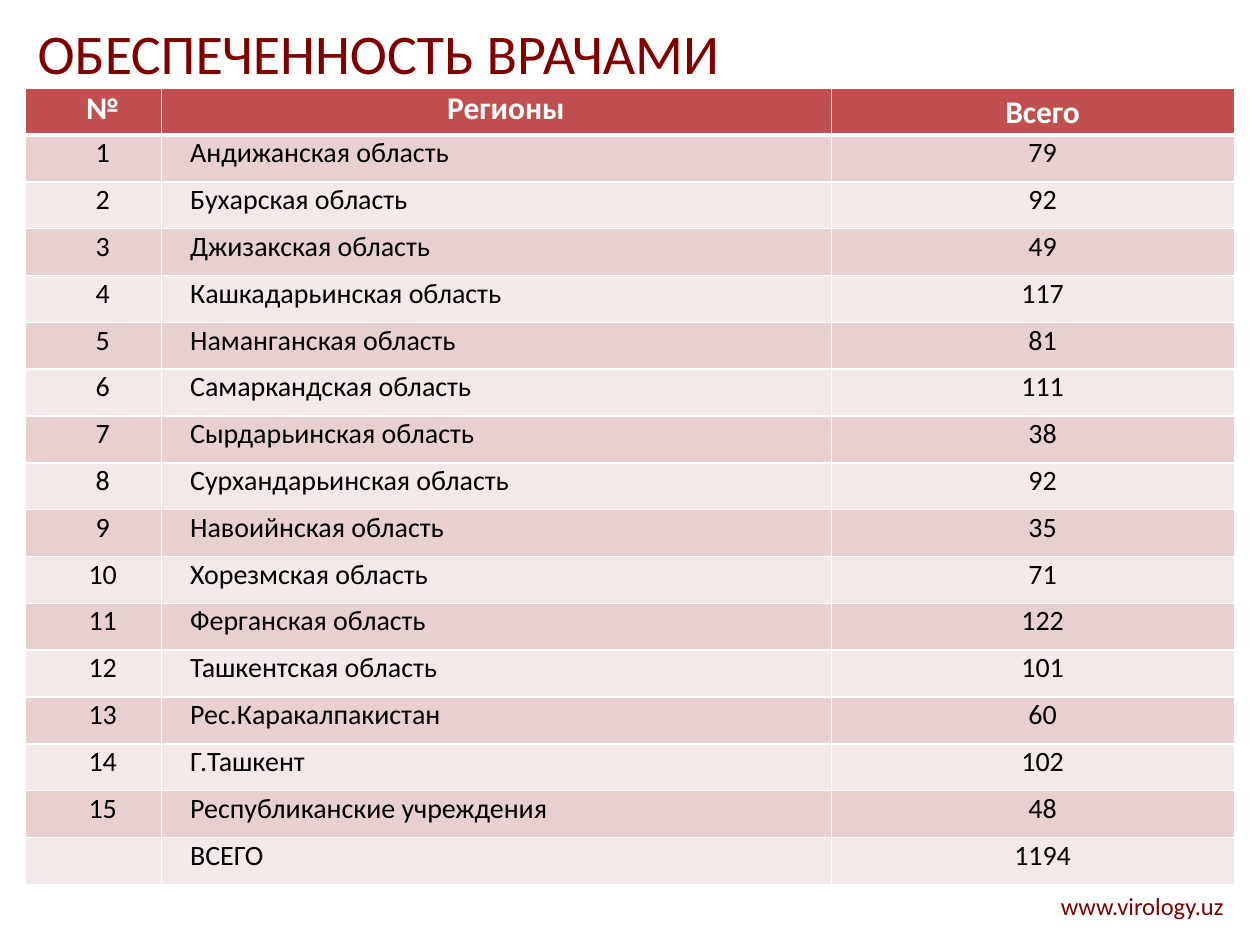
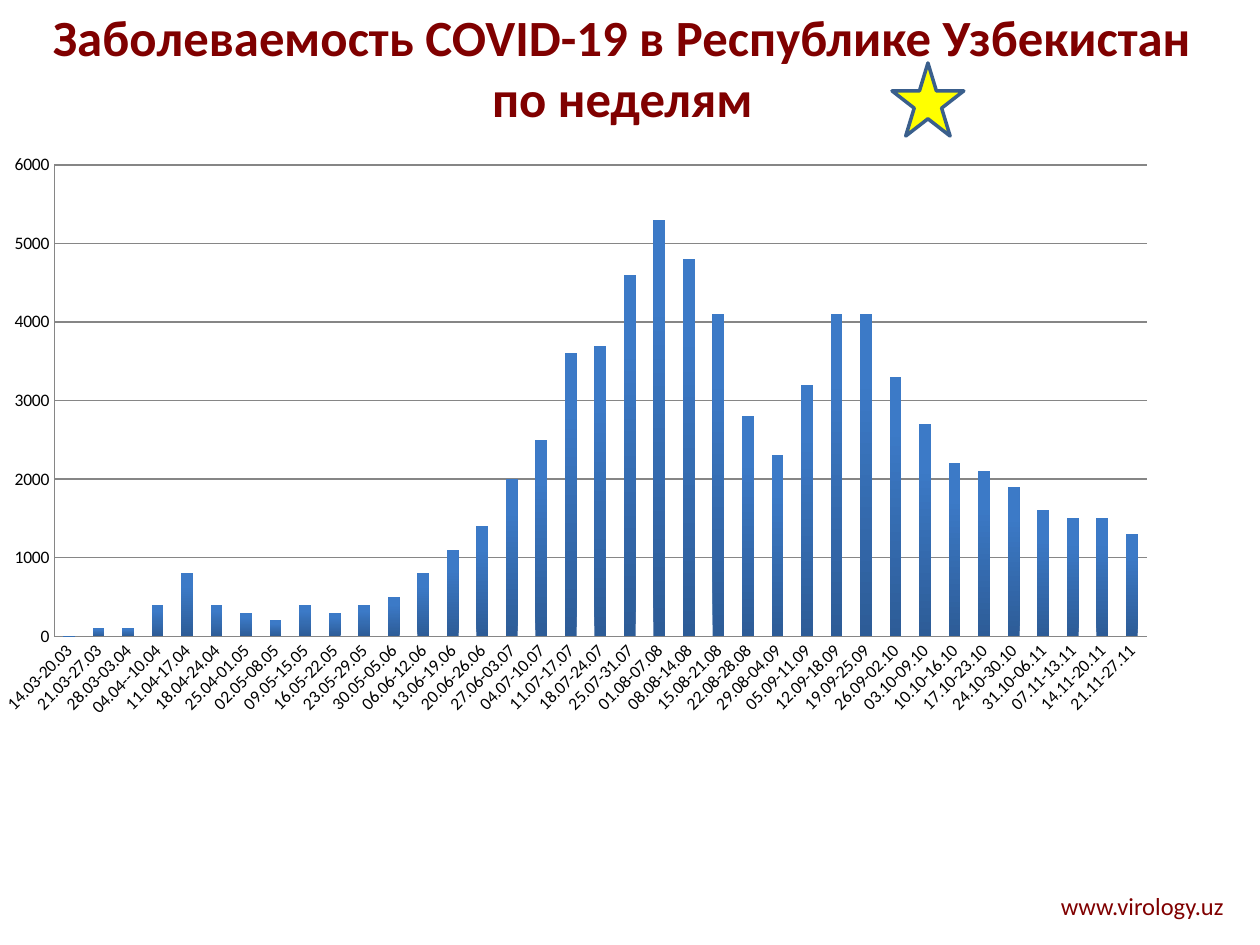
from dataclasses import dataclass

from lxml import etree
from pptx import Presentation
from pptx.chart.data import CategoryChartData
from pptx.dml.color import RGBColor
from pptx.enum import chart as ch, shapes, text
from pptx.oxml import parse_xml
from pptx.oxml.ns import nsdecls, qn
from pptx.util import Pt

SCALE = 9144  # EMU per px, 100 px to the inch
WIDTH, HEIGHT = 1000, 750
LEFT, CENTER, RIGHT, JUSTIFY = (
    text.PP_ALIGN.LEFT, text.PP_ALIGN.CENTER, text.PP_ALIGN.RIGHT, text.PP_ALIGN.JUSTIFY)
SITE = "www.virology.uz"


@dataclass(frozen=True)
class Theme:
    font: str = "Calibri"
    accent: str = "800000"
    header: str = "C0504D"
    bands: tuple = ("E8D0D0", "F4E9E9")
    light: str = "FFFFFF"
    dark: str = "000000"
    grid: str = "868686"
    bar_bottom: str = "2D5C97"
    bar_top: str = "3C7AC7"
    star: str = "FFFF00"
    star_line: str = "3A5F8C"
    title_size: int = 32
    heading_size: int = 29
    header_size: int = 18
    body_size: int = 16
    footer_size: int = 14
    chart_size: int = 10


def px(*lengths):
    return [n * SCALE for n in lengths]


def rgb(color):
    return RGBColor.from_string(color)


class Deck:
    def __init__(self, theme):
        self.theme = theme
        self.prs = Presentation()
        self.prs.slide_width, self.prs.slide_height = px(WIDTH, HEIGHT)
        self.slide = None

    def new_slide(self):
        self.slide = self.prs.slides.add_slide(self.prs.slide_layouts[6])
        self.text(SITE, (542, 702, 439, 34), self.theme.footer_size, RIGHT)

    def style(self, font, size, color, bold=False):
        font.name, font.size, font.bold = self.theme.font, Pt(size), bold
        font.color.rgb = rgb(color)

    def text(self, words, box, size, align=LEFT, bold=False, anchor=text.MSO_ANCHOR.TOP):
        tf = self.slide.shapes.add_textbox(*px(*box)).text_frame
        tf.word_wrap = True
        tf.vertical_anchor = anchor
        tf.text = words
        p = tf.paragraphs[0]
        p.alignment = align
        self.style(p.runs[0].font, size, self.theme.accent, bold)

    def star(self, box):
        sp = self.slide.shapes.add_shape(shapes.MSO_SHAPE.STAR_5_POINT, *px(*box))
        sp.shadow.inherit = False
        sp.fill.solid()
        sp.fill.fore_color.rgb = rgb(self.theme.star)
        sp.line.color.rgb = rgb(self.theme.star_line)
        sp.line.width = Pt(2)

    def borders(self, cell, top, bottom):
        tc_pr = cell._tc.get_or_add_tcPr()
        for side, width in (("L", 1), ("R", 1), ("T", top), ("B", bottom)):
            tc_pr.append(parse_xml(
                f'<a:ln{side} {nsdecls("a")} w="{Pt(width)}"><a:solidFill>'
                f'<a:srgbClr val="{self.theme.light}"/></a:solidFill></a:ln{side}>'))

    def cell(self, cell, words, row, align):
        t = self.theme
        head = row == 0
        self.borders(cell, 3 if row == 1 else 1, 3 if head else 1)
        cell.fill.solid()
        cell.fill.fore_color.rgb = rgb(t.header if head else t.bands[(row - 1) % 2])
        cell.margin_left, cell.margin_right = px(8, 8)
        cell.margin_top = cell.margin_bottom = 0
        cell.text = words
        p = cell.text_frame.paragraphs[0]
        p.alignment = align
        p.line_spacing, p.space_after = 1.03, Pt(2.1)
        indent, hanging = px(16, -1)
        p_pr = p._p.get_or_add_pPr()
        p_pr.set("marL", str(indent))
        p_pr.set("indent", str(hanging))
        for r in p.runs:
            self.style(r.font, t.header_size if head else t.body_size,
                       t.light if head else t.dark, head)

    def table(self, rows, box, widths, aligns):
        frame = self.slide.shapes.add_table(len(rows), len(widths), *px(*box))
        tbl = frame.table
        tbl.first_row = tbl.horz_banding = False
        for column, width in zip(tbl.columns, px(*widths)):
            column.width = width
        for i, row in enumerate(rows):
            for j, words in enumerate(row):
                self.cell(tbl.cell(i, j), words, i, aligns[j] if i else CENTER)
        return tbl

    def axis_line(self, line):
        line.color.rgb = rgb(self.theme.grid)
        line.width = Pt(0.75)

    def column_chart(self, points, box, plot_box, top, step):
        t = self.theme
        data = CategoryChartData()
        data.categories = [name for name, _ in points]
        data.add_series("Series 1", [value for _, value in points])
        chart = self.slide.shapes.add_chart(
            ch.XL_CHART_TYPE.COLUMN_STACKED, *px(*box), data).chart
        chart.has_legend = chart.has_title = False
        self.style(chart.font, t.chart_size, t.dark)

        # Axes
        for axis in (chart.category_axis, chart.value_axis):
            axis.major_tick_mark = axis.minor_tick_mark = ch.XL_TICK_MARK.NONE
            self.axis_line(axis.format.line)
        values = chart.value_axis
        values.minimum_scale, values.maximum_scale, values.major_unit = 0, top, step
        values.has_major_gridlines = True
        self.axis_line(values.major_gridlines.format.line)
        labels = chart.category_axis.tick_labels
        self.style(labels.font, t.chart_size, t.dark)
        body = chart.category_axis._element.find(qn("c:txPr")).find(qn("a:bodyPr"))
        body.set("rot", str(-45 * 60000))
        body.set("vert", "horz")

        # Columns
        plot = chart.plots[0]
        plot.gap_width, plot.overlap, plot.vary_by_categories = 150, 100, False
        fill = plot.series[0].format.fill
        fill.gradient()
        fill.gradient_angle = 90
        for stop, color, position in zip(
                fill.gradient_stops, (t.bar_bottom, t.bar_top), (0, 0.8)):
            stop.color.rgb = rgb(color)
            stop.position = position

        # Inner plot area as shares of the chart frame
        area = chart._chartSpace.chart.plotArea
        for old in area.findall(qn("c:layout")):
            area.remove(old)
        layout = etree.Element(qn("c:layout"))
        manual = etree.SubElement(layout, qn("c:manualLayout"))
        shares = [length / box[2 + i % 2] for i, length in enumerate(plot_box)]
        settings = [("layoutTarget", "inner"), ("xMode", "edge"), ("yMode", "edge")]
        for tag, value in settings + list(zip("xywh", shares)):
            etree.SubElement(manual, qn(f"c:{tag}")).set("val", str(value))
        area.insert(0, layout)


REGIONS = [
    ("Андижанская область", 79), ("Бухарская область", 92),
    ("Джизакская область", 49), ("Кашкадарьинская область", 117),
    ("Наманганская область", 81), ("Самаркандская область", 111),
    ("Сырдарьинская область", 38), ("Сурхандарьинская область", 92),
    ("Навоийнская область", 35), ("Хорезмская область", 71),
    ("Ферганская область", 122), ("Ташкентская область", 101),
    ("Рес.Каракалпакистан", 60), ("Г.Ташкент", 102),
    ("Республиканские учреждения", 48),
]

WEEKLY_CASES = [
    ("14.03-20.03", 0), ("21.03-27.03", 100), ("28.03-03.04", 100),
    ("04.04--10.04", 400), ("11.04-17.04", 800), ("18.04-24.04", 400),
    ("25.04-01.05", 300), ("02.05-08.05", 200), ("09.05-15.05", 400),
    ("16.05-22.05", 300), ("23.05-29.05", 400), ("30.05-05.06", 500),
    ("06.06-12.06", 800), ("13.06-19.06", 1100), ("20.06-26.06", 1400),
    ("27.06-03.07", 2000), ("04.07-10.07", 2500), ("11.07-17.07", 3600),
    ("18.07-24.07", 3700), ("25.07-31.07", 4600), ("01.08-07.08", 5300),
    ("08.08-14.08", 4800), ("15.08-21.08", 4100), ("22.08-28.08", 2800),
    ("29.08-04.09", 2300), ("05.09-11.09", 3200), ("12.09-18.09", 4100),
    ("19.09-25.09", 4100), ("26.09-02.10", 3300), ("03.10-09.10", 2700),
    ("10.10-16.10", 2200), ("17.10-23.10", 2100), ("24.10-30.10", 1900),
    ("31.10-06.11", 1600), ("07.11-13.11", 1500), ("14.11-20.11", 1500),
    ("21.11-27.11", 1300),
]


def doctors_slide(deck):
    deck.new_slide()
    deck.text("ОБЕСПЕЧЕННОСТЬ ВРАЧАМИ", (20, 13, 961, 57), deck.theme.title_size,
              anchor=text.MSO_ANCHOR.MIDDLE)
    rows = [("№", "Регионы", "Всего")]
    rows += [(str(i), name, str(n)) for i, (name, n) in enumerate(REGIONS, 1)]
    rows.append(("", "ВСЕГО", "1194"))
    tbl = deck.table(rows, (20, 70, 960, 632), (108, 532, 320), (CENTER, JUSTIFY, CENTER))
    total_head = tbl.cell(0, 2).text_frame.paragraphs[0]
    total_head.line_spacing, total_head.space_after = 1.15, Pt(0)


def incidence_slide(deck):
    deck.new_slide()
    deck.column_chart(WEEKLY_CASES, (-26, 0, 951, 619), (69, 131, 867, 374), 6000, 1000)
    deck.text("Заболеваемость COVID-19 в Республике Узбекистан по неделям",
              (32, 0, 924, 108), deck.theme.heading_size, CENTER, bold=True)
    deck.star((708, 50, 57, 58))


def main():
    deck = Deck(Theme())
    doctors_slide(deck)
    incidence_slide(deck)
    deck.prs.save("out.pptx")


if __name__ == "__main__":
    main()
